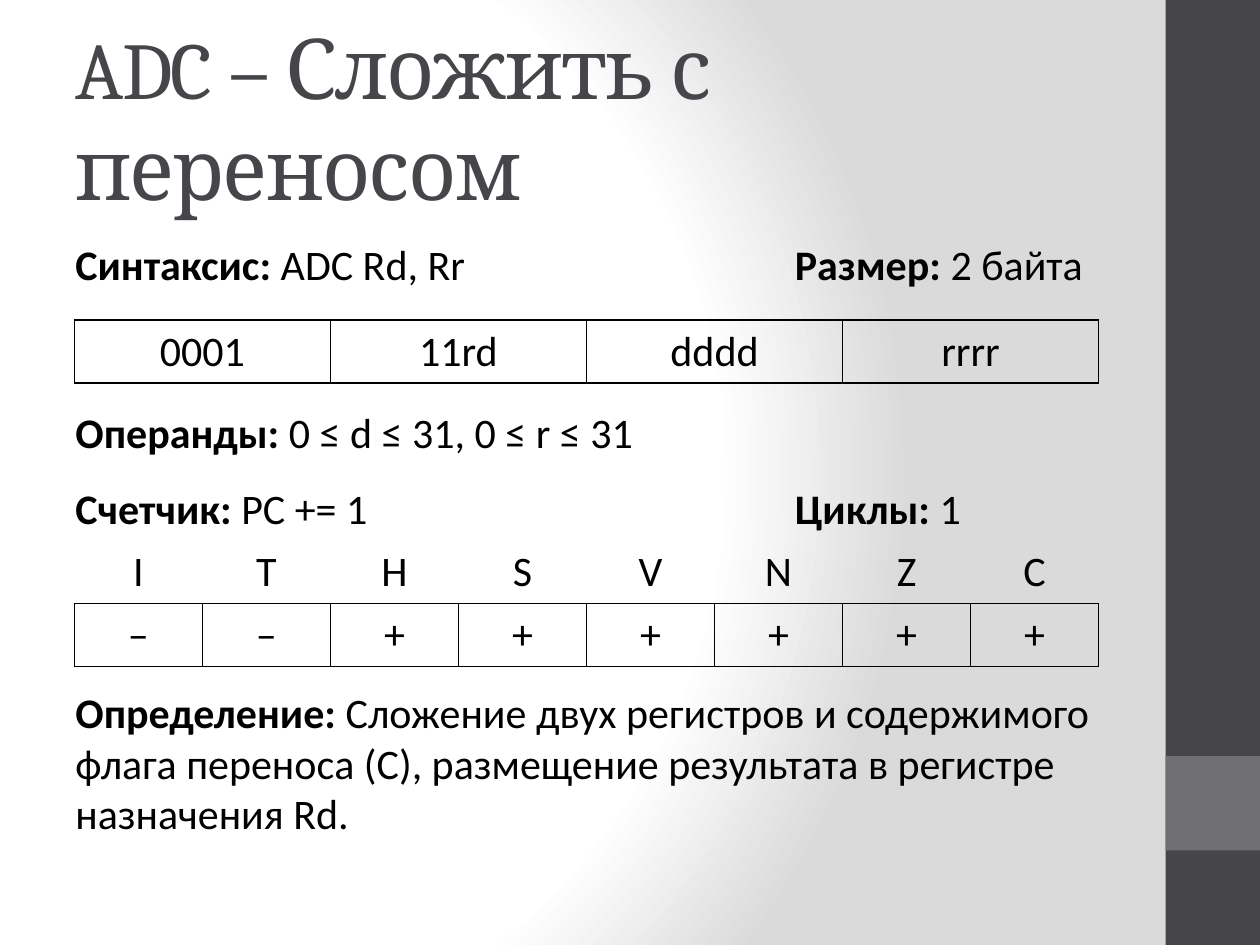
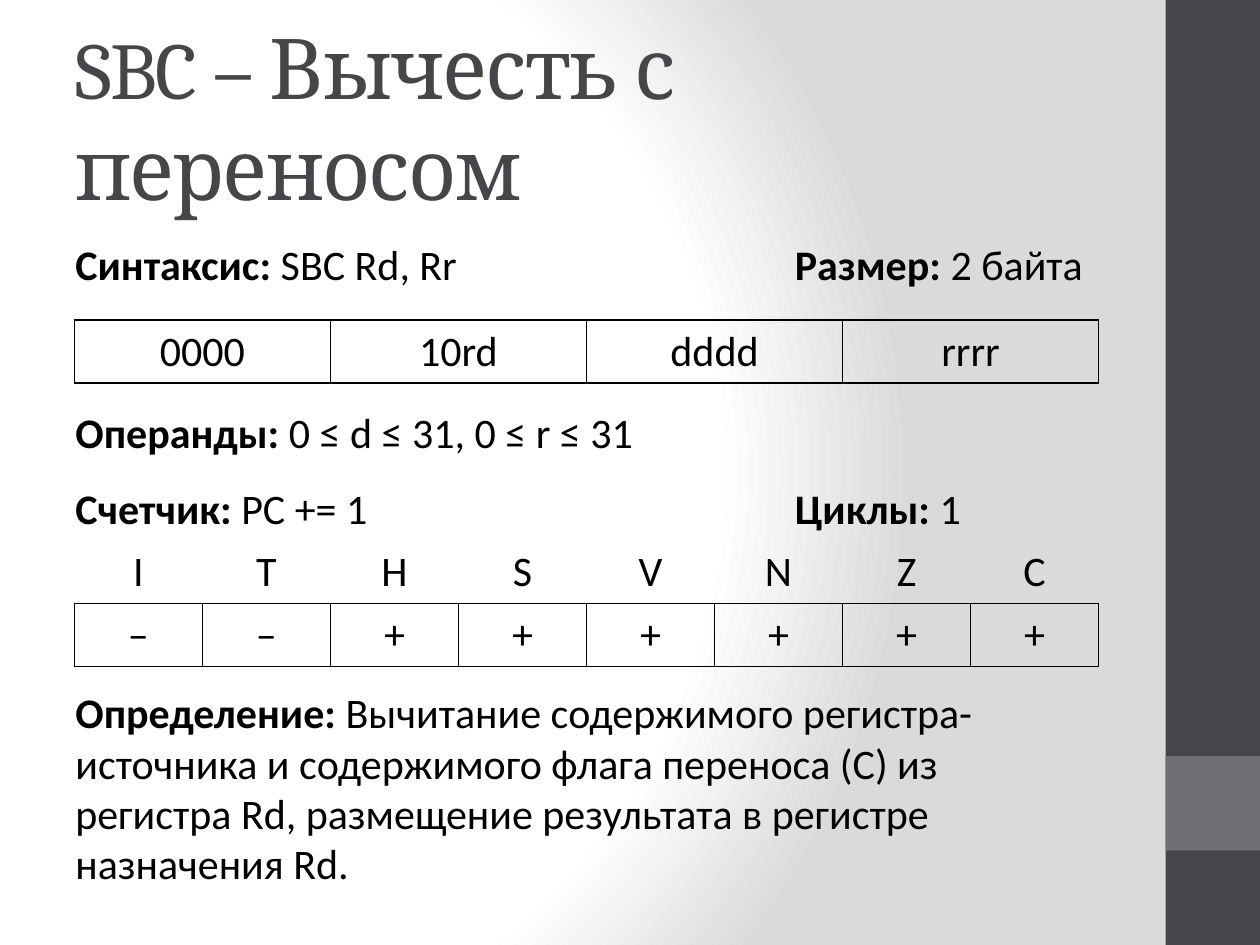
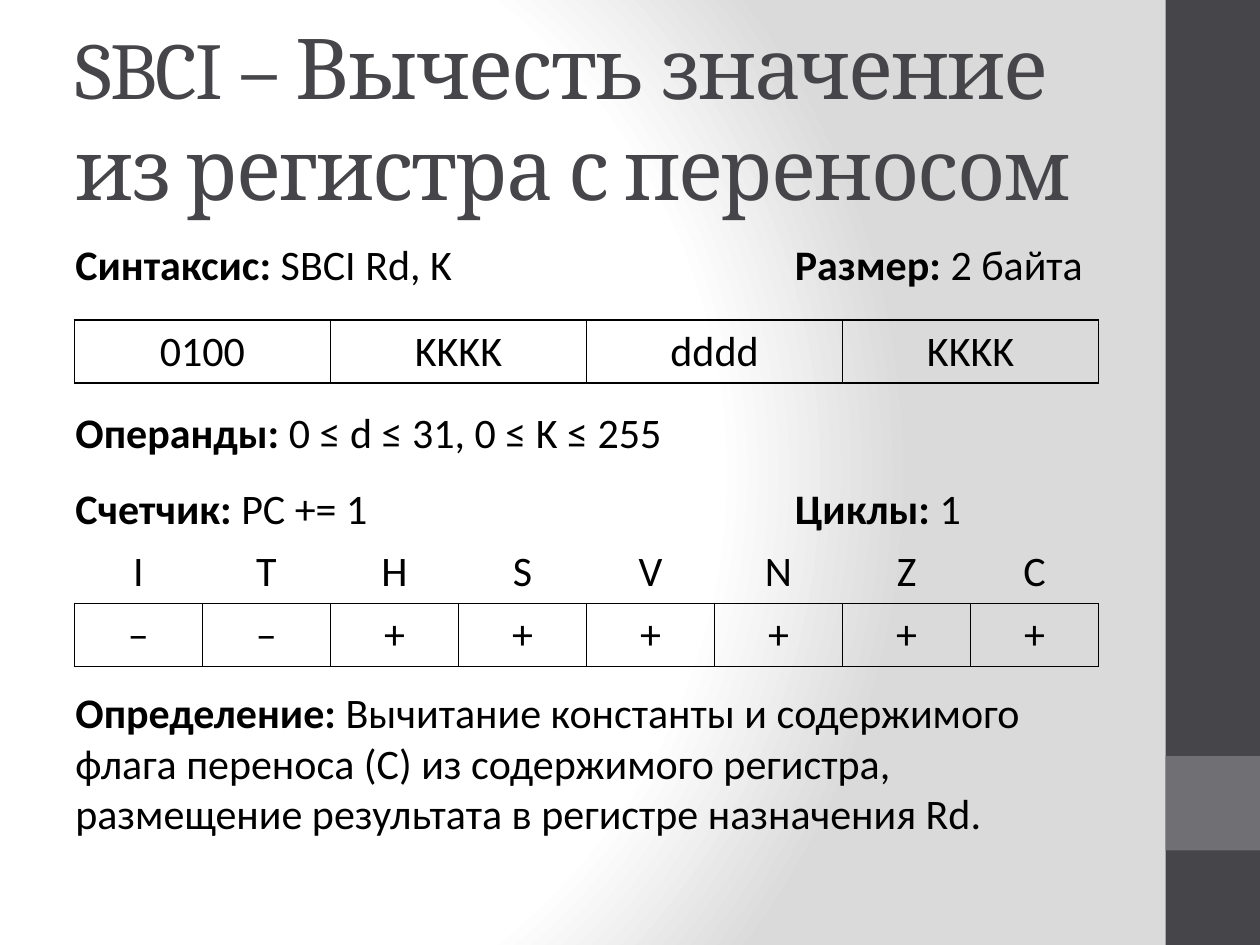
from dataclasses import dataclass

from lxml import etree
from pptx import Presentation
from pptx.dml.color import RGBColor
from pptx.enum.shapes import MSO_SHAPE
from pptx.enum.text import MSO_ANCHOR, MSO_AUTO_SIZE, PP_ALIGN
from pptx.oxml import parse_xml
from pptx.oxml.ns import qn
from pptx.util import Inches, Pt

RECT = MSO_SHAPE.RECTANGLE
MIDDLE = MSO_ANCHOR.MIDDLE
GROW, FIXED = MSO_AUTO_SIZE.SHAPE_TO_FIT_TEXT, MSO_AUTO_SIZE.NONE
LEFT, CENTER = PP_ALIGN.LEFT, PP_ALIGN.CENTER
DRAWING = "http://schemas.openxmlformats.org/drawingml/2006/main"
PLAIN = "{2D5ABB26-0587-4C30-8999-92F81FD0307C}"


@dataclass(frozen=True)
class Theme:
    dark: str = "46464A"
    mid: str = "6F6F74"
    ink: str = "000000"
    stops: tuple = ((0, "FFFFFF"), (75, "FFFFFF"), (100, "DADADA"))
    head: str = "Cambria"
    body: str = "Calibri"
    code: int = 46
    name: int = 48
    text: int = 24
    line: int = 1


@dataclass(frozen=True)
class Command:
    code: str
    name: str
    args: str
    width: float
    bits: tuple
    range: str
    about: str
    depth: float = 1.31


THEME = Theme()
FLAGS = ("ITHSVNZC", "––++++++")

COMMANDS = (
    Command("ADC", "Сложить с переносом", "Rd, Rr", 3.33,
            ("0001", "11rd", "dddd", "rrrr"), "0 ≤ d ≤ 31, 0 ≤ r ≤ 31",
            "Сложение двух регистров и содержимого флага переноса (С), "
            "размещение результата в регистре назначения Rd."),
    Command("SBC", "Вычесть с переносом", "Rd, Rr", 3.27,
            ("0000", "10rd", "dddd", "rrrr"), "0 ≤ d ≤ 31, 0 ≤ r ≤ 31",
            "Вычитание содержимого регистра-источника и содержимого флага "
            "переноса (С) из регистра Rd, размещение результата в регистре "
            "назначения Rd.", 1.72),
    Command("SBCI", "Вычесть значение из регистра с переносом", "Rd, K", 3.23,
            ("0100", "KKKK", "dddd", "KKKK"), "0 ≤ d ≤ 31, 0 ≤ K ≤ 255",
            "Вычитание константы и содержимого флага переноса (С) из "
            "содержимого регистра, размещение результата в регистре "
            "назначения Rd."),
)


def style(run, face, size, color, bold=False):
    font = run.font
    font.name, font.size, font.bold = face, Pt(size), bold
    font.color.rgb = RGBColor.from_string(color)


def backdrop(master):
    master.background.fill.solid()
    solid = next(master.element.iter(qn("a:solidFill")))
    stops = "".join(f'<a:gs pos="{at * 1000}"><a:srgbClr val="{color}"/></a:gs>'
                    for at, color in THEME.stops)
    grad = parse_xml(
        f'<a:gradFill xmlns:a="{DRAWING}" rotWithShape="1"><a:gsLst>{stops}</a:gsLst>'
        '<a:path path="circle"><a:fillToRect l="20000" t="50000" r="100000" b="50000"/>'
        '</a:path></a:gradFill>')
    solid.getparent().replace(solid, grad)


def bands(slide, master):
    tree = master.shapes.element
    for place, (top, height, color) in enumerate(
            ((0, 7.5, THEME.dark), (6, 0.75, THEME.mid)), 2):
        band = slide.shapes.add_shape(
            RECT, Inches(9.25), Inches(top), Inches(0.75), Inches(height))
        band.shadow.inherit = False
        band.fill.solid()
        band.fill.fore_color.rgb = RGBColor.from_string(color)
        band.line.fill.background()
        tree.insert(place, band.element)


def heading(slide, box, code, name):
    title = slide.shapes.title
    title.left, title.top, title.width, title.height = map(Inches, box)
    frame = title.text_frame
    frame.auto_size, frame.vertical_anchor = FIXED, MIDDLE
    para = frame.paragraphs[0]
    para.alignment = LEFT
    for text, size in ((f"{code} ", THEME.code), (f"– {name}", THEME.name)):
        run = para.add_run()
        run.text = text
        style(run, THEME.head, size, THEME.dark)
        run.font._element.set("spc", "-100")


def fact(slide, box, label, value, wrap=False):
    frame = slide.shapes.add_textbox(*map(Inches, box)).text_frame
    frame.word_wrap, frame.auto_size = wrap, GROW
    for text, bold in ((f"{label}: ", True), (value, False)):
        run = frame.paragraphs[0].add_run()
        run.text = text
        style(run, THEME.body, THEME.text, THEME.ink, bold)


def border(cell, sides):
    props = cell._tc.get_or_add_tcPr()
    for side in "LRTB":
        line = etree.SubElement(props, qn(f"a:ln{side}"), w=str(Pt(THEME.line)))
        if side in sides:
            fill = etree.SubElement(line, qn("a:solidFill"))
            etree.SubElement(fill, qn("a:srgbClr"), val=THEME.ink)
        else:
            etree.SubElement(line, qn("a:noFill"))


def grid(slide, box, rows, sides):
    count = len(rows[0])
    table = slide.shapes.add_table(len(rows), count, *map(Inches, box)).table
    table.first_row = table.horz_banding = False
    table._tbl.tblPr.find(qn("a:tableStyleId")).text = PLAIN
    for r, row in enumerate(rows):
        for c, text in enumerate(row):
            cell = table.cell(r, c)
            border(cell, sides[r])
            cell.fill.background()
            cell.text = text
            para = cell.text_frame.paragraphs[0]
            para.alignment = CENTER
            style(para.runs[0], THEME.body, THEME.text, THEME.ink)


def sheet(slide, box, item):
    left, top, width = box
    side, inset, span, high = left + 5.71, left + 0.09, 8.13, 0.5
    heading(slide, (left, top, width, 1.25), item.code, item.name)
    fact(slide, (left, top + 5.1, width, item.depth), "Определение", item.about, True)
    fact(slide, (left, top + 1.54, item.width, high), "Синтаксис",
         f"{item.code} {item.args}")
    fact(slide, (side, top + 1.54, 2.51, high), "Размер", "2 байта")
    grid(slide, (inset, top + 2.24, span, high), (item.bits,), ("LRTB",))
    fact(slide, (left, top + 3.48, 2.62, high), "Счетчик", "PC += 1")
    fact(slide, (left, top + 2.88, width, high), "Операнды", item.range, True)
    grid(slide, (inset, top + 3.99, span, 2 * high), FLAGS, ("B", "LRTB"))
    fact(slide, (side, top + 3.48, 1.53, high), "Циклы", "1")


def main():
    deck = Presentation()
    deck.slide_width, deck.slide_height = Inches(10), Inches(7.5)
    master = deck.slide_master
    backdrop(master)
    for item in COMMANDS:
        slide = deck.slides.add_slide(deck.slide_layouts[5])
        if item is COMMANDS[0]:
            bands(slide, master)
        sheet(slide, (0.5, 0.3, 8.33), item)
    deck.save("out.pptx")


main()
